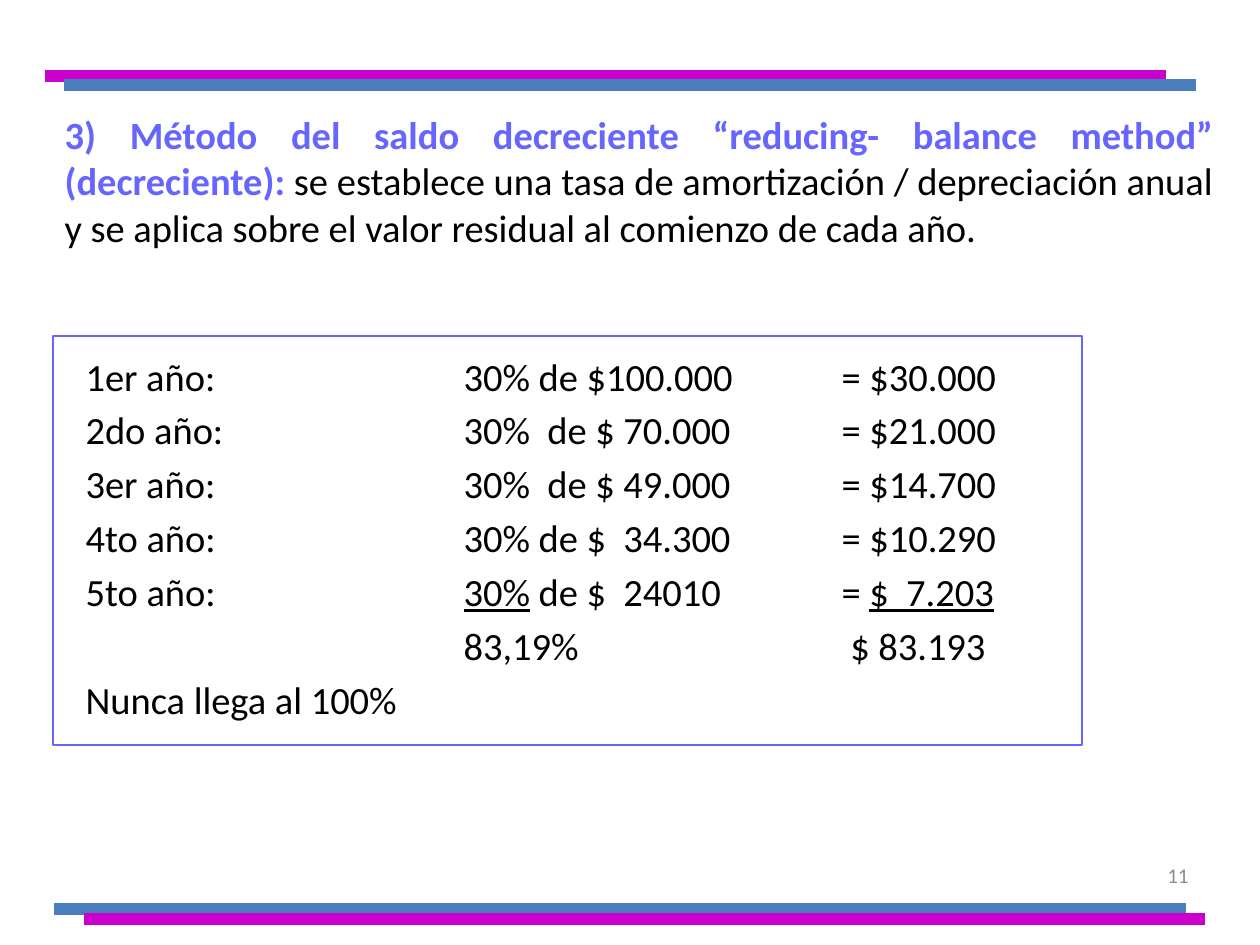
"""Build the slide on the reducing-balance depreciation method."""
from dataclasses import dataclass

from lxml import etree
from pptx import Presentation
from pptx.dml.color import RGBColor
from pptx.enum import shapes, text
from pptx.oxml.ns import qn
from pptx.util import Emu, Pt

PX = 914400 / 126
FONT = "Calibri"
VIOLET = RGBColor(0x66, 0x66, 0xFF)
MAGENTA = RGBColor(0xCC, 0x00, 0xCC)
BLUE = RGBColor(0x4B, 0x7E, 0xBC)
BLACK = RGBColor(0, 0, 0)
GRAY = RGBColor(0x8C, 0x8C, 0x8C)
COLUMN_WIDTH = 378


@dataclass(frozen=True)
class Bar:
    left: int
    right: int
    y: int
    color: RGBColor


@dataclass(frozen=True)
class YearRow:
    label: str
    rate: str
    base: str
    sign: str
    amount: str
    underlined: bool = False


BARS = (
    Bar(54, 1186, 909, BLUE),
    Bar(84, 1205, 919, MAGENTA),
    Bar(45, 1166, 76, MAGENTA),
    Bar(64, 1196, 85, BLUE),
)
ROWS = (
    YearRow("1er año:", "30%", " de $100.000", "= ", "$30.000"),
    YearRow("2do año:", "30%", "  de $ 70.000", "= ", "$21.000"),
    YearRow("3er año:", "30%", "  de $ 49.000", "= ", "$14.700"),
    YearRow("4to año:", "30%", " de $  34.300", "= ", "$10.290"),
    YearRow("5to año:", "30%", " de $  24010", "= ", "$  7.203", underlined=True),
    YearRow("", "83,19%", "", " ", "$ 83.193"),
)


def px(length: int) -> Emu:
    """Turn a length in px into EMU."""
    return Emu(round(length * PX))


def place(box, left: int, top: int, width: int, height: int, anchor) -> None:
    """Move a text box or placeholder and set up its frame."""
    box.left, box.top, box.width, box.height = map(px, (left, top, width, height))
    frame = box.text_frame
    frame.word_wrap = True
    frame.auto_size = text.MSO_AUTO_SIZE.NONE
    frame.vertical_anchor = anchor


def add_span(para, words: str, *, size: int = 22, color: RGBColor = BLACK,
             bold: bool = False, underline: bool = False) -> None:
    """Add formatted text to a paragraph."""
    span = para.add_run()
    span.text = words
    font = span.font
    font.name, font.size, font.bold, font.underline = FONT, Pt(size), bold, underline
    font.color.rgb = color


def format_list_line(para) -> None:
    """Remove the bullet and set the spacing and column width."""
    para.line_spacing = 0.75
    para.space_before = Pt(11)
    props = para._p.get_or_add_pPr()
    props.set("marL", "0")
    props.set("indent", "0")
    props.set("defTabSz", str(px(COLUMN_WIDTH)))
    etree.SubElement(props, qn("a:buNone"))


def add_year(para, row: YearRow) -> None:
    """Write one year's calculation across the columns."""
    add_span(para, f"{row.label}\t")
    add_span(para, row.rate, underline=row.underlined)
    add_span(para, f"{row.base}\t{row.sign}")
    add_span(para, row.amount, underline=row.underlined)


def add_bar(page, bar: Bar) -> None:
    """Draw one thick horizontal line."""
    line = page.shapes.add_connector(
        shapes.MSO_CONNECTOR.STRAIGHT, px(bar.left), px(bar.y), px(bar.right), px(bar.y))
    line.line.color.rgb = bar.color
    line.line.width = Pt(6.75)
    etree.SubElement(line._element.spPr, qn("a:effectLst"))


def add_frame(page) -> None:
    """Outline the calculation."""
    frame = page.shapes.add_shape(
        shapes.MSO_SHAPE.RECTANGLE, px(53), px(336), px(1029), px(409))
    frame.shadow.inherit = False
    frame.fill.background()
    frame.line.color.rgb = VIOLET
    frame.line.width = Pt(0.75)


def main() -> None:
    """Build and save the deck."""
    deck = Presentation()
    deck.slide_width, deck.slide_height = px(1260), px(945)
    page = deck.slides.add_slide(deck.slide_layouts[1])

    title = page.shapes.title
    place(title, 52, 105, 1174, 152, text.MSO_ANCHOR.TOP)
    para = title.text_frame.paragraphs[0]
    para.alignment = text.PP_ALIGN.JUSTIFY
    add_span(para, "3) Método del saldo decreciente “reducing- balance method” "
                   "(decreciente): ", color=VIOLET, bold=True)
    add_span(para, "se establece una tasa de amortización / depreciación anual "
                   "y se aplica sobre el valor residual al comienzo de cada año.")

    body = page.placeholders[1]
    place(body, 73, 357, 1072, 398, text.MSO_ANCHOR.TOP)
    para = body.text_frame.paragraphs[0]
    for row in ROWS:
        format_list_line(para)
        add_year(para, row)
        para = body.text_frame.add_paragraph()
    format_list_line(para)
    add_span(para, "Nunca llega al 100%")

    add_frame(page)
    for bar in BARS:
        add_bar(page, bar)

    number = page.shapes.add_textbox(0, 0, 0, 0)
    place(number, 907, 850, 294, 50, text.MSO_ANCHOR.MIDDLE)
    para = number.text_frame.paragraphs[0]
    para.alignment = text.PP_ALIGN.RIGHT
    add_span(para, "11", size=12, color=GRAY)

    deck.save("out.pptx")


if __name__ == "__main__":
    main()
